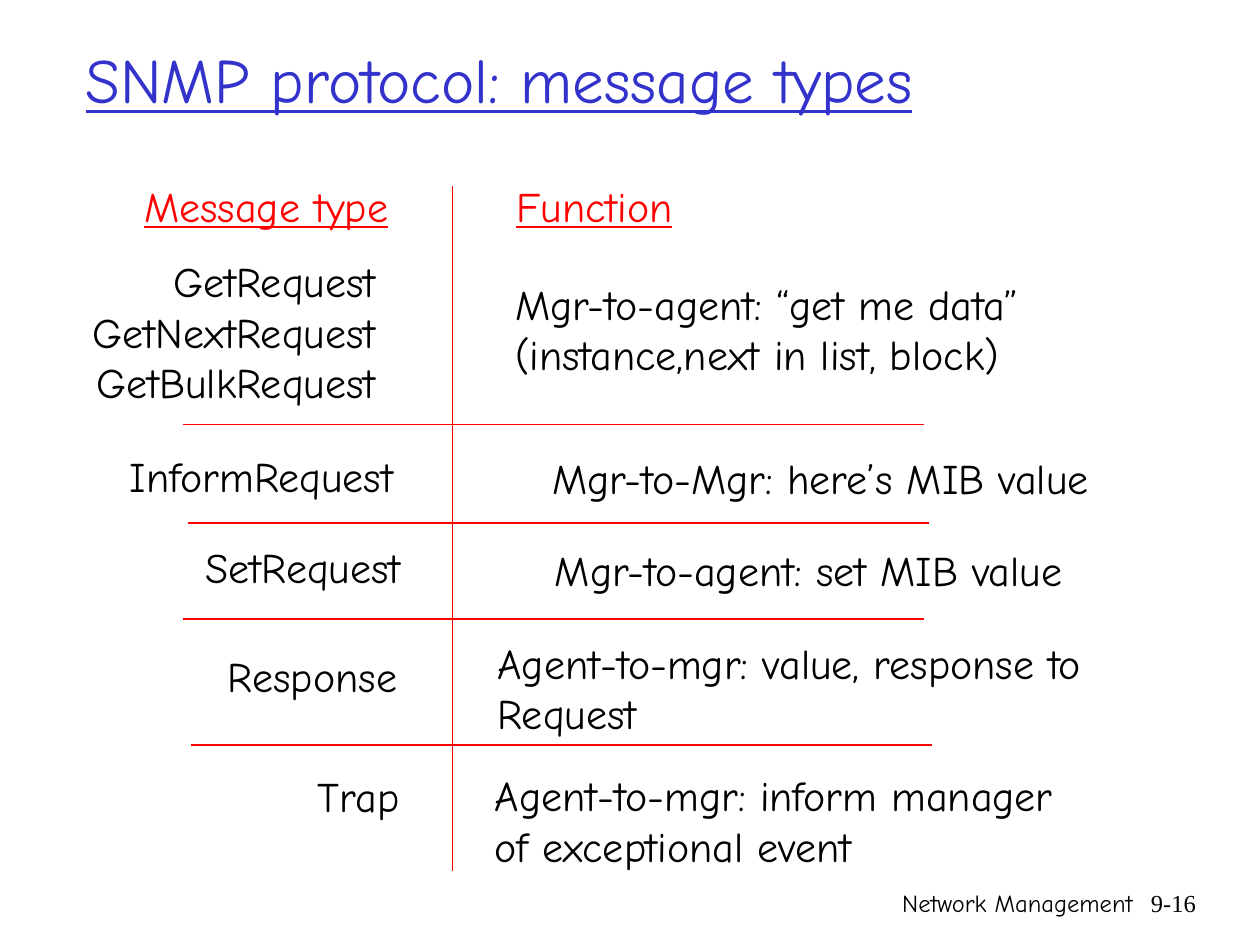
"""Build a slide that lists the SNMP message types and their functions."""
from lxml import etree
from pptx import Presentation
from pptx import util as u
from pptx.dml.color import RGBColor
from pptx.enum import shapes, text
from pptx.oxml.ns import qn

HUES = {"title": "3333CC", "head": "FF0000", "body": "000000", "rule": "FF0000"}
LEFT, RIGHT = text.PP_ALIGN.LEFT, text.PP_ALIGN.RIGHT
FONT = "Comic Neue"

deck = Presentation()
deck.slide_width, deck.slide_height = u.Inches(10), u.Inches(7.5)
COL, ROW = deck.slide_width / 100, deck.slide_height / 75
slide = deck.slides.add_slide(deck.slide_layouts[5])


def fill(frame, lines, side, hue="body", size=24, font=FONT, wrap=True):
    frame.word_wrap = wrap
    frame.auto_size = text.MSO_AUTO_SIZE.NONE
    for i, line in enumerate(lines):
        para = frame.add_paragraph() if i else frame.paragraphs[0]
        para.alignment = side
        run = para.add_run()
        run.text = line
        run.font.name, run.font.size = font, u.Pt(size)
        run.font.underline = hue != "body"
        run.font.color.rgb = RGBColor.from_string(HUES[hue])


def rule(x1, y1, x2, y2, width):
    line = slide.shapes.add_connector(
        shapes.MSO_CONNECTOR.STRAIGHT,
        *(round(n) for n in (x1 * COL, y1 * ROW, x2 * COL, y2 * ROW)))
    line.line.color.rgb = RGBColor.from_string(HUES["rule"])
    line.line.width = u.Pt(width)
    etree.SubElement(line._element.spPr, qn("a:effectLst"))


title = slide.shapes.title
title.left, title.top = round(5.8 * COL), 0
title.width, title.height = round(85 * COL), round(12.5 * ROW)
title.text_frame.vertical_anchor = text.MSO_ANCHOR.MIDDLE
fill(title.text_frame, ["SNMP protocol: message types"], LEFT, "title", 36)

# left, top, width, lines, side, format
cells = [
    (10.4, 13.8, 21.4, ["Message type"], RIGHT, {"hue": "head", "wrap": False}),
    (40, 13.8, 14.4, ["Function"], LEFT, {"hue": "head", "wrap": False}),
    (6.3, 19.8, 24.5, ["GetRequest", "GetNextRequest", "GetBulkRequest"],
     RIGHT, {"wrap": False}),
    (39.9, 21.6, 42.2, ["Mgr-to-agent: “get me data”",
                        "(instance,next in list, block)"], LEFT, {"wrap": False}),
    (4, 35.3, 28.2, ["InformRequest"], RIGHT, {}),
    (38.1, 35.4, 49.3, ["Mgr-to-Mgr: here’s MIB value"], RIGHT, {}),
    (4.6, 42.5, 28.2, ["SetRequest"], RIGHT, {}),
    (38.6, 42.7, 46.7, ["Mgr-to-agent: set MIB value"], RIGHT, {}),
    (4.3, 51.1, 28.2, ["Response"], RIGHT, {}),
    (38.5, 50.1, 69.9, ["Agent-to-mgr: value, response to", "Request"], LEFT, {}),
    (4.5, 60.7, 28.2, ["Trap"], RIGHT, {}),
    (38.3, 60.6, 52.4, ["Agent-to-mgr: inform manager",
                        "of exceptional event"], LEFT, {}),
    (59.2, 70, 31.7, ["Network Management"], RIGHT, {"size": 14}),
    (89.4, 70, 6.5, ["9-16"], RIGHT, {"size": 14, "font": "Times New Roman"}),
]
for x, y, w, lines, side, form in cells:
    high = 1 + 4 * len(lines) if len(lines) > 1 else 5
    box = slide.shapes.add_textbox(
        *(round(n) for n in (x * COL, y * ROW, w * COL, high * ROW)))
    fill(box.text_frame, lines, side, **form)

for x, y in [(14.5, 33.7), (14.9, 41.5), (14.5, 49.1), (15.2, 59.1)]:
    rule(x, y, x + 58.8, y, 1)
rule(35.9, 14.8, 35.9, 69.1, 0.75)

deck.save("out.pptx")
